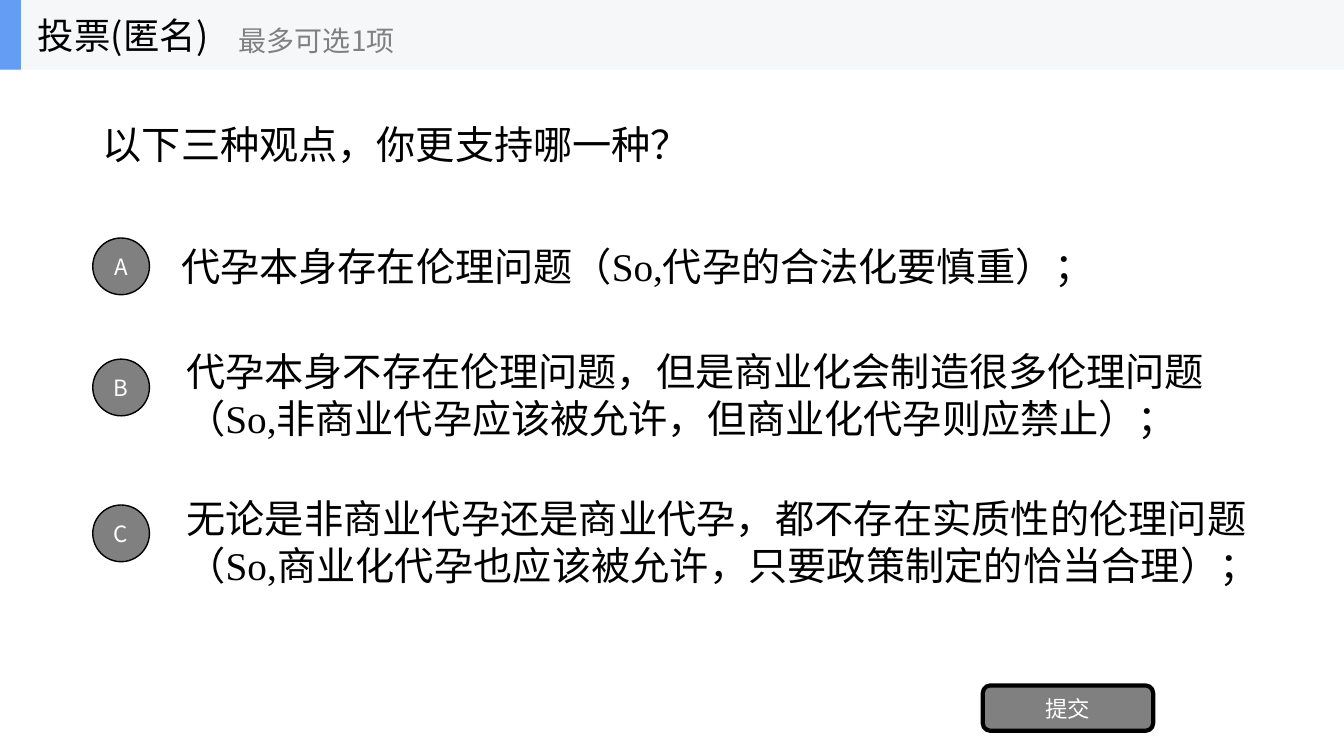
from dataclasses import dataclass

import pptx
import pptx.dml.color
import pptx.enum.shapes
import pptx.enum.text
import pptx.oxml.ns
import pptx.util
from lxml import etree

Pt = pptx.util.Pt
Preset = pptx.enum.shapes.MSO_SHAPE
Align = pptx.enum.text.PP_ALIGN


@dataclass(frozen=True)
class Theme:
    ink: str = "000000"
    gray: str = "808080"
    white: str = "FFFFFF"
    band: str = "F6F7F8"
    accent: str = "639EF4"
    body_font: str = "Noto Sans CJK JP"
    ui_font: str = "Noto Sans CJK SC"
    latin_font: str = "Times New Roman"
    body_size: int = 28
    heading_size: int = 26
    hint_size: int = 20
    button_size: int = 16


def rgb(code):
    return pptx.dml.color.RGBColor.from_string(code)


def set_typeface(font, properties, name):
    """Use one typeface for both Latin and East Asian text."""
    font.name = name
    east_asian = etree.SubElement(properties, pptx.oxml.ns.qn("a:ea"))
    east_asian.set("typeface", name)


class PollSlide:
    def __init__(self, deck, theme):
        self.theme = theme
        self.slide = deck.slides.add_slide(deck.slide_layouts[5])
        self.shapes = self.slide.shapes

    def fill_text(self, shape, runs, size, color, align=Align.LEFT, wrap=True, tracking=0):
        """Fill a shape with one paragraph of (text, typeface) runs."""
        frame = shape.text_frame
        frame.word_wrap = wrap
        frame.auto_size = pptx.enum.text.MSO_AUTO_SIZE.NONE
        frame.vertical_anchor = pptx.enum.text.MSO_ANCHOR.MIDDLE
        paragraph = frame.paragraphs[0]
        paragraph.alignment = align
        paragraph.font.size = Pt(size)
        paragraph.font.color.rgb = rgb(color)
        if len(runs) == 1:
            defaults = paragraph._p.get_or_add_pPr().get_or_add_defRPr()
            set_typeface(paragraph.font, defaults, runs[0][1])
        for text, typeface in runs:
            run = paragraph.add_run()
            run.text = text
            if len(runs) > 1:
                set_typeface(run.font, run._r.get_or_add_rPr(), typeface)
            if tracking:
                run._r.get_or_add_rPr().set("spc", str(round(tracking * 100)))

    def title(self, box, text):
        question = self.slide.shapes.title
        question.left, question.top, question.width, question.height = map(Pt, box)
        self.fill_text(question, [(text, self.theme.body_font)],
                       self.theme.body_size, self.theme.ink)

    def text(self, box, runs, size, color, **layout):
        self.fill_text(self.shapes.add_textbox(*map(Pt, box)), runs, size, color, **layout)

    def block(self, preset, box, fill, outline=0):
        shape = self.shapes.add_shape(preset, *map(Pt, box))
        shape.shadow.inherit = False
        shape.fill.solid()
        shape.fill.fore_color.rgb = rgb(fill)
        if outline:
            shape.line.color.rgb = rgb(self.theme.ink)
            shape.line.width = Pt(outline)
        else:
            shape.line.fill.background()
        return shape

    def button(self, preset, box, label, outline):
        self.fill_text(self.block(preset, box, self.theme.gray, outline),
                       [(label, self.theme.ui_font)], self.theme.button_size,
                       self.theme.white, align=Align.CENTER)

    def option(self, letter, badge_top, box, stance, conclusion, tracking=0):
        theme = self.theme
        runs = [(stance, theme.body_font), ("So,", theme.latin_font),
                (conclusion, theme.body_font)]
        self.text(box, runs, theme.body_size, theme.ink, tracking=tracking)
        self.button(Preset.OVAL, (66.25, badge_top, 40.5, 40.5), letter, 1)

    def header(self, heading, hint):
        theme = self.theme
        self.shapes = self.slide.shapes.add_group_shape().shapes
        self.block(Preset.RECTANGLE, (0, 0, 960, 49.7), theme.band)
        self.block(Preset.RECTANGLE, (0, 0, 15, 49.7), theme.accent)
        self.text((20, 0, 150, 49.7), [(heading, theme.ui_font)],
                  theme.heading_size, theme.ink, wrap=False)
        self.text((163.5, 8.6, 180, 40.3), [(hint, theme.ui_font)],
                  theme.hint_size, theme.gray, wrap=False)
        self.shapes = self.slide.shapes


def main():
    deck = pptx.Presentation()
    deck.slide_width, deck.slide_height = Pt(960), Pt(540)
    poll = PollSlide(deck, Theme())

    # Question
    poll.title((66.25, 61.2, 768, 83.5), "以下三种观点，你更支持哪一种？")

    # Options
    poll.option("A", 170, (122.4, 165, 720, 50.4),
                "代孕本身存在伦理问题（", "代孕的合法化要慎重）；")
    poll.option("B", 256.5, (126, 235.5, 759.6, 92),
                "代孕本身不存在伦理问题，但是商业化会制造很多伦理问题（",
                "非商业代孕应该被允许，但商业化代孕则应禁止）；")
    poll.option("C", 360.7, (126, 340.6, 810, 92),
                "无论是非商业代孕还是商业代孕，都不存在实质性的伦理问题（",
                "商业化代孕也应该被允许，只要政策制定的恰当合理）；", tracking=0.1)

    # Submit button
    poll.button(Preset.ROUNDED_RECTANGLE, (702, 489.6, 121.7, 32.4), "提交", 3)

    # Header bar
    poll.header("投票(匿名)", "最多可选1项")

    deck.save("out.pptx")


if __name__ == "__main__":
    main()
